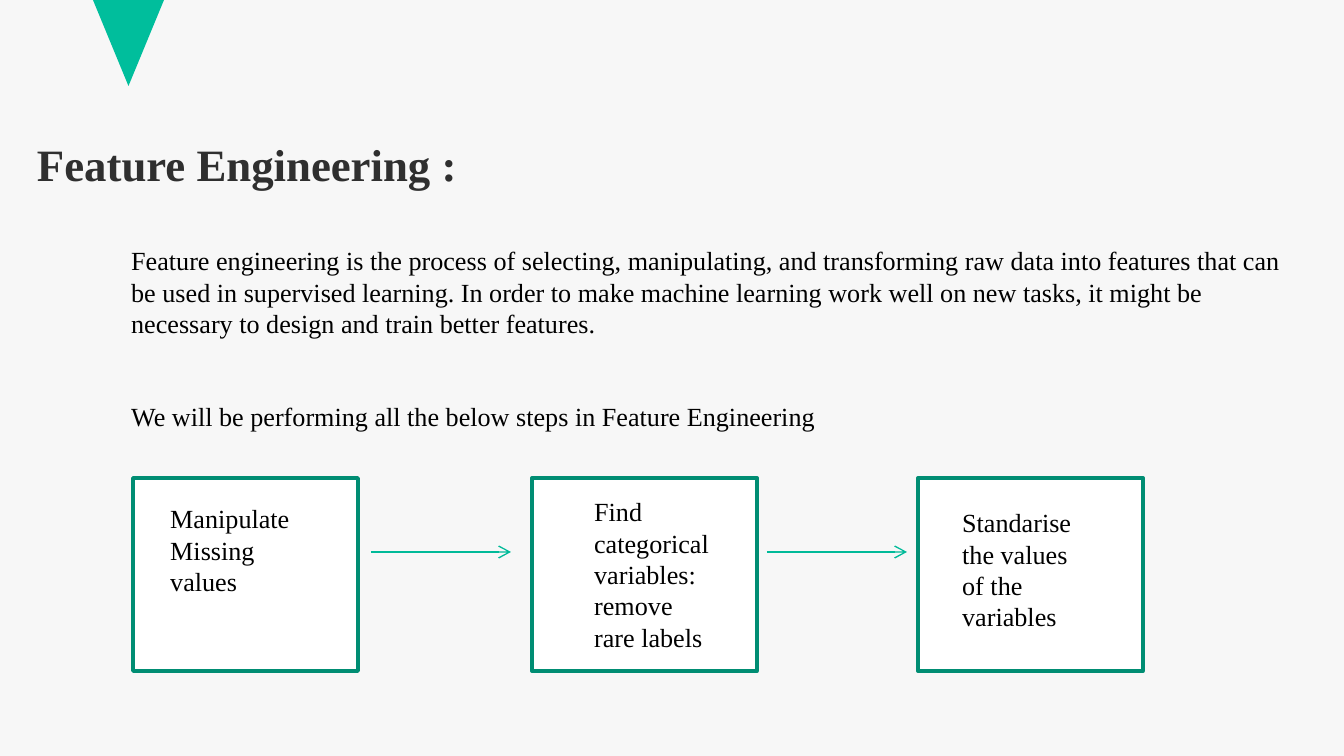
from dataclasses import dataclass

import pptx
import pptx.dml.color
import pptx.enum.shapes
import pptx.enum.text
import pptx.oxml
import pptx.oxml.ns
import pptx.util

EMU_PER_PX = 914400 / 134.4


@dataclass(frozen=True)
class Theme:
    font: str = "Times New Roman"
    title_size: int = 24
    body_size: int = 14
    background: str = "F7F7F7"
    accent: str = "00BE9C"
    arrow: str = "00BA99"
    frame: str = "008D73"
    card: str = "FFFFFF"
    title: str = "2F2F2F"
    text: str = "000000"


@dataclass(frozen=True)
class Box:
    left: int
    top: int
    width: int
    height: int


@dataclass(frozen=True)
class Step:
    left: int
    label: str
    label_box: Box


THEME = Theme()
STEP_TOP, STEP_WIDTH, STEP_HEIGHT = 478, 225, 193
ARROW_Y, ARROW_LENGTH = 552, 140
ARROW_STARTS = (371, 767)
STEPS = (
    Step(133, "Manipulate Missing values", Box(157, 496, 168, 140)),
    Step(532, "Find categorical variables: remove rare labels", Box(581, 489, 145, 172)),
    Step(918, "Standarise the values of the variables", Box(949, 500, 156, 172)),
)
EXPLANATION = (
    "Feature engineering is the process of selecting, manipulating, and transforming "
    "raw data into features that can be used in supervised learning. In order to make "
    "machine learning work well on new tasks, it might be necessary to design and train "
    "better features.",
    "We will be performing all the below steps in Feature Engineering",
)
PARAGRAPH_GAP = 33


def px(length: int) -> int:
    return round(length * EMU_PER_PX)


def rgb(value: str) -> pptx.dml.color.RGBColor:
    return pptx.dml.color.RGBColor.from_string(value)


def apply(target, values: dict) -> None:
    for name, value in values.items():
        setattr(target, name, value)


def place(box: Box) -> tuple[int, int, int, int]:
    return px(box.left), px(box.top), px(box.width), px(box.height)


def format_font(font, size: int, color: str, bold: bool = False) -> None:
    apply(font, {"name": THEME.font, "size": pptx.util.Pt(size), "bold": bold})
    font.color.rgb = rgb(color)


def add_text(slide, box: Box, paragraphs: tuple[str, ...]) -> None:
    frame = slide.shapes.add_textbox(*place(box)).text_frame
    frame.word_wrap = True
    for index, content in enumerate(paragraphs):
        paragraph = frame.paragraphs[0] if index == 0 else frame.add_paragraph()
        if index:
            paragraph.space_before = pptx.util.Pt(PARAGRAPH_GAP)
        run = paragraph.add_run()
        run.text = content
        format_font(run.font, THEME.body_size, THEME.text)


def add_filled(slide, kind, box: Box, fill: str):
    shape = slide.shapes.add_shape(kind, *place(box))
    shape.shadow.inherit = False
    shape.fill.solid()
    shape.fill.fore_color.rgb = rgb(fill)
    return shape


def add_marker(slide) -> None:
    marker = add_filled(
        slide, pptx.enum.shapes.MSO_SHAPE.ISOSCELES_TRIANGLE, Box(93, 0, 71, 86), THEME.accent
    )
    marker.rotation = 180
    marker.line.fill.background()


def add_title(slide) -> None:
    title = slide.shapes.title
    apply(title, dict(zip(("left", "top", "width", "height"), place(Box(27, 99, 1093, 97)))))
    frame = title.text_frame
    apply(frame, {
        "text": "Feature Engineering :",
        "word_wrap": True,
        "vertical_anchor": pptx.enum.text.MSO_ANCHOR.BOTTOM,
        "margin_left": px(10),
        "margin_right": px(10),
        "margin_top": px(5),
        "margin_bottom": px(5),
    })
    heading = frame.paragraphs[0]
    apply(heading, {"alignment": pptx.enum.text.PP_ALIGN.LEFT, "line_spacing": 0.9})
    format_font(heading.runs[0].font, THEME.title_size, THEME.title, bold=True)


def add_step(slide, step: Step) -> None:
    card = add_filled(
        slide,
        pptx.enum.shapes.MSO_SHAPE.RECTANGLE,
        Box(step.left, STEP_TOP, STEP_WIDTH, STEP_HEIGHT),
        THEME.card,
    )
    card.line.color.rgb = rgb(THEME.frame)
    card.line.width = pptx.util.Pt(2)
    add_text(slide, step.label_box, (step.label,))


def add_arrow(slide, start: int) -> None:
    arrow = slide.shapes.add_connector(
        pptx.enum.shapes.MSO_CONNECTOR.STRAIGHT,
        px(start), px(ARROW_Y), px(start + ARROW_LENGTH), px(ARROW_Y),
    )
    arrow.line.color.rgb = rgb(THEME.arrow)
    arrow.line.width = pptx.util.Pt(0.75)
    namespace = pptx.oxml.ns.nsdecls("a")
    arrow.line._get_or_add_ln().append(
        pptx.oxml.parse_xml(f'<a:tailEnd {namespace} type="arrow"/>')
    )
    arrow._element.spPr.append(pptx.oxml.parse_xml(f"<a:effectLst {namespace}/>"))


def main() -> None:
    deck = pptx.Presentation()
    apply(deck, {"slide_width": px(1344), "slide_height": px(756)})
    slide = deck.slides.add_slide(deck.slide_layouts[5])
    slide.background.fill.solid()
    slide.background.fill.fore_color.rgb = rgb(THEME.background)
    add_marker(slide)
    add_title(slide)
    add_text(slide, Box(118, 238, 1202, 206), EXPLANATION)
    for step in STEPS:
        add_step(slide, step)
    for start in ARROW_STARTS:
        add_arrow(slide, start)
    deck.save("out.pptx")


if __name__ == "__main__":
    main()
